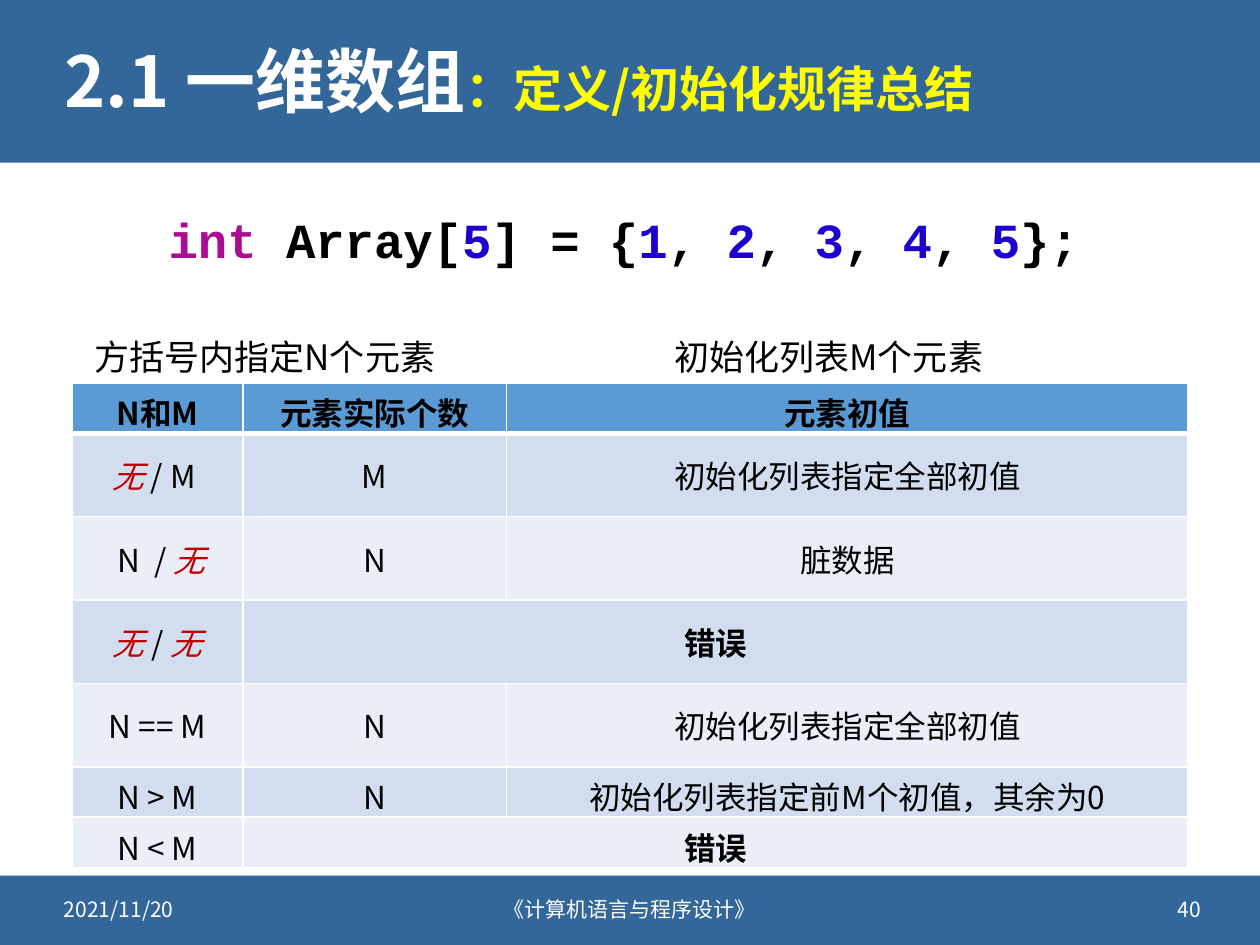
from lxml.etree import SubElement
from pptx import Presentation
from pptx.dml.color import RGBColor
from pptx.enum.shapes import MSO_SHAPE
from pptx.enum.text import MSO_ANCHOR, MSO_AUTO_SIZE, PP_ALIGN
from pptx.oxml.ns import qn
from pptx.util import Cm, Pt

# Theme: colours, fonts and type sizes
THEME = dict(
    bar="336699", white="FFFFFF", black="000000", yellow="FFFF00", red="C00000",
    keyword="AA0D91", number="1C00CF", header="5B9BD5", bands=("D2DEEF", "EAEFF7"),
    font="Noto Sans CJK SC", mono="Courier New",
    title=40, subtitle=28, code=28, label=20, cell=18, footer=12)

# Content
TITLE = [("2.1 一维数组", "white", THEME["title"]),
         ("：定义/初始化规律总结", "yellow", THEME["subtitle"])]
VALUES = ["1", "2", "3", "4", "5"]
LABELS = [("方括号内指定N个元素", 1.65, 10.95), ("初始化列表M个元素", 13.34, 9.47)]
FOOTERS = [("2021/11/20", 1.04, 6.1, PP_ALIGN.LEFT),
           ("《计算机语言与程序设计》", 8.13, 9.14, PP_ALIGN.CENTER),
           ("40", 18.36, 6.1, PP_ALIGN.RIGHT)]
NONE, ERROR = "无", "错误"
HEADER = ["N和M", "元素实际个数", "元素初值"]
ROWS = [  # first cell is a list of pieces; an ERROR cell spans two columns
    (["无", " / M "], "M", "初始化列表指定全部初值"),
    ([" N  / ", "无"], "N", "脏数据"),
    (["无", " / ", "无"], ERROR),
    (["N == M"], "N", "初始化列表指定全部初值"),
    (["N > M"], "N", "初始化列表指定前M个初值，其余为0"),
    (["N < M"], ERROR)]
COL_WIDTHS = [3.45, 5.31, 13.74]
SHORT, TALL = 0.94, 1.68
ROW_HEIGHTS = [SHORT] + [TALL] * 4 + [SHORT] * 2


def rgb(name):
    return RGBColor.from_string(THEME.get(name, name))


def add_run(p, text, size, color="black", bold=False, italic=False, font="font"):
    r = p.add_run()
    r.text = text
    r.font.size, r.font.bold, r.font.italic = Pt(size), bold, italic
    r.font.color.rgb = rgb(color)
    r.font.name = THEME[font]
    SubElement(r.font._element, qn("a:ea"), typeface=THEME[font])


def add_text(s, left, top, width, height, anchor=MSO_ANCHOR.TOP, wrap=True):
    tf = s.shapes.add_textbox(Cm(left), Cm(top), Cm(width), Cm(height)).text_frame
    tf.word_wrap, tf.vertical_anchor = wrap, anchor
    return tf


def style_cell(cell, fill, bottom=1):
    tcPr = cell._tc.get_or_add_tcPr()
    for side, width in (("L", 1), ("R", 1), ("T", 1), ("B", bottom)):
        ln = SubElement(tcPr, qn(f"a:ln{side}"), w=str(Pt(width)))
        SubElement(SubElement(ln, qn("a:solidFill")), qn("a:srgbClr"), val=THEME["white"])
    cell.fill.solid()
    cell.fill.fore_color.rgb = rgb(fill)


def add_bars(s):
    for top, height in ((0, 3.28), (17.65, 1.4)):
        bar = s.shapes.add_shape(MSO_SHAPE.RECTANGLE, 0, Cm(top), Cm(25.4), Cm(height))
        bar.shadow.inherit = False
        bar.fill.solid()
        bar.fill.fore_color.rgb = rgb("bar")
        bar.line.fill.background()


def add_title(s):
    title = s.shapes.title
    title.left, title.top, title.width, title.height = Cm(1.04), Cm(0.46), Cm(23.34), Cm(2.51)
    title.element.getparent().append(title.element)  # in front of the bar
    tf = title.text_frame
    tf.auto_size, tf.vertical_anchor = MSO_AUTO_SIZE.NONE, MSO_ANCHOR.MIDDLE
    p = tf.paragraphs[0]
    p.alignment, p.line_spacing = PP_ALIGN.LEFT, 0.9
    for text, color, size in TITLE:
        add_run(p, text, size, color, bold=True)


def add_code(s):
    pieces = [("int", "keyword"), (" Array[", "black"), (str(len(VALUES)), "number"),
              ("] = {", "black")]
    for i, value in enumerate(VALUES):
        pieces += [(", ", "black")] * (i > 0) + [(value, "number")]
    pieces.append(("};", "black"))
    p = add_text(s, 3.15, 4.09, 19.15, 1.45, wrap=False).paragraphs[0]
    for text, color in pieces:
        add_run(p, text, THEME["code"], color, bold=True, font="mono")


def add_rules(s):
    table = s.shapes.add_table(len(ROW_HEIGHTS), len(COL_WIDTHS), Cm(1.45), Cm(7.72),
                               Cm(sum(COL_WIDTHS)), Cm(sum(ROW_HEIGHTS))).table
    for col, width in zip(table.columns, COL_WIDTHS):
        col.width = Cm(width)
    for row, height in zip(table.rows, ROW_HEIGHTS):
        row.height = Cm(height)
    for i, row in enumerate([HEADER] + ROWS):
        head = i == 0
        fill = THEME["header"] if head else THEME["bands"][(i - 1) % 2]
        for cell in table.rows[i].cells:
            style_cell(cell, fill, bottom=3 if head else 1)
        for j, content in enumerate(row):
            cell = table.cell(i, j)
            if content == ERROR:
                cell.merge(table.cell(i, j + 1))
            cell.vertical_anchor = MSO_ANCHOR.TOP if head else MSO_ANCHOR.MIDDLE
            p = cell.text_frame.paragraphs[0]
            p.alignment = PP_ALIGN.CENTER
            for text in content if isinstance(content, list) else [content]:
                none = text == NONE
                add_run(p, text, THEME["cell"], "red" if none else "black",
                        bold=head or text == ERROR, italic=none)


def main():
    prs = Presentation()
    prs.slide_width, prs.slide_height = Cm(25.4), Cm(19.05)
    s = prs.slides.add_slide(prs.slide_layouts[5])
    add_bars(s)
    add_title(s)
    # Footer line
    for text, left, width, align in FOOTERS:
        p = add_text(s, left, 17.81, width, 1.02, MSO_ANCHOR.MIDDLE).paragraphs[0]
        p.alignment = align
        add_run(p, text, THEME["footer"], "white")
    # Labels above the table
    for text, left, width in LABELS:
        p = add_text(s, left, 6.63, width, 1.12).paragraphs[0]
        add_run(p, text, THEME["label"])
    add_rules(s)
    add_code(s)
    prs.save("out.pptx")


if __name__ == "__main__":
    main()
